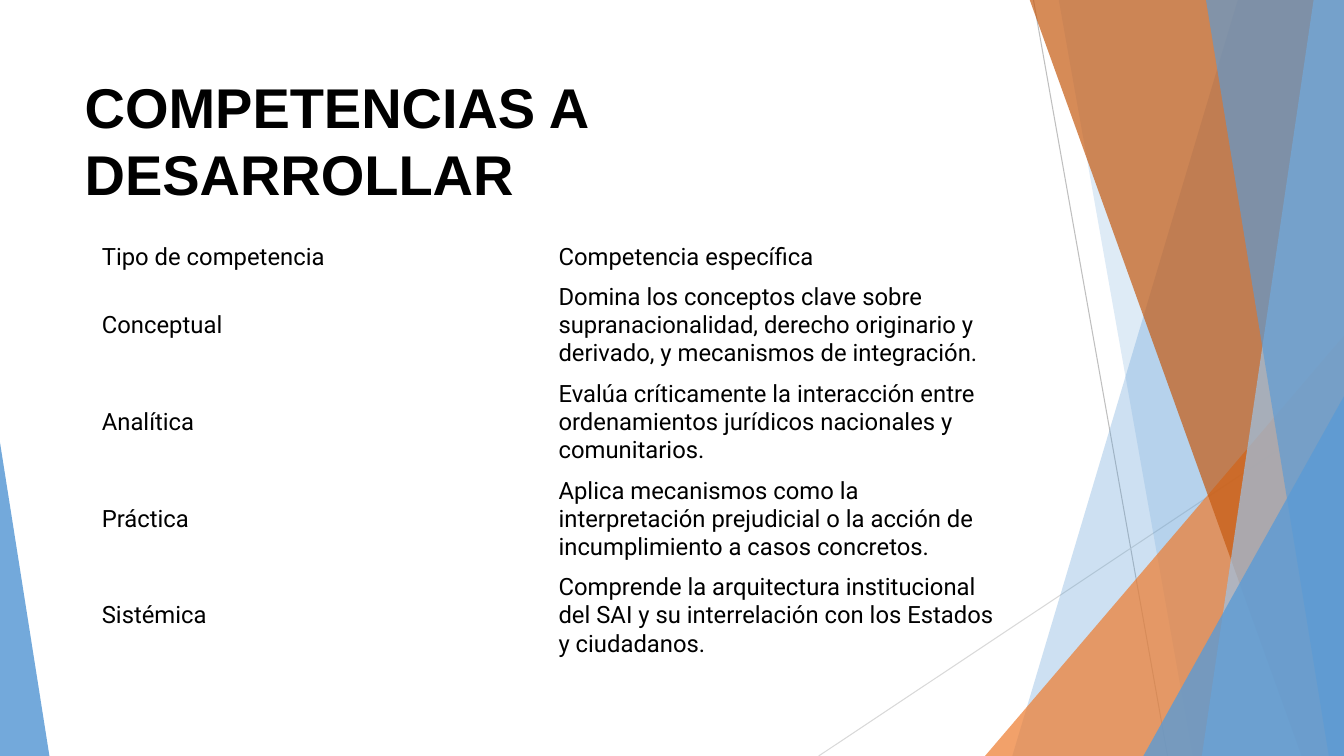
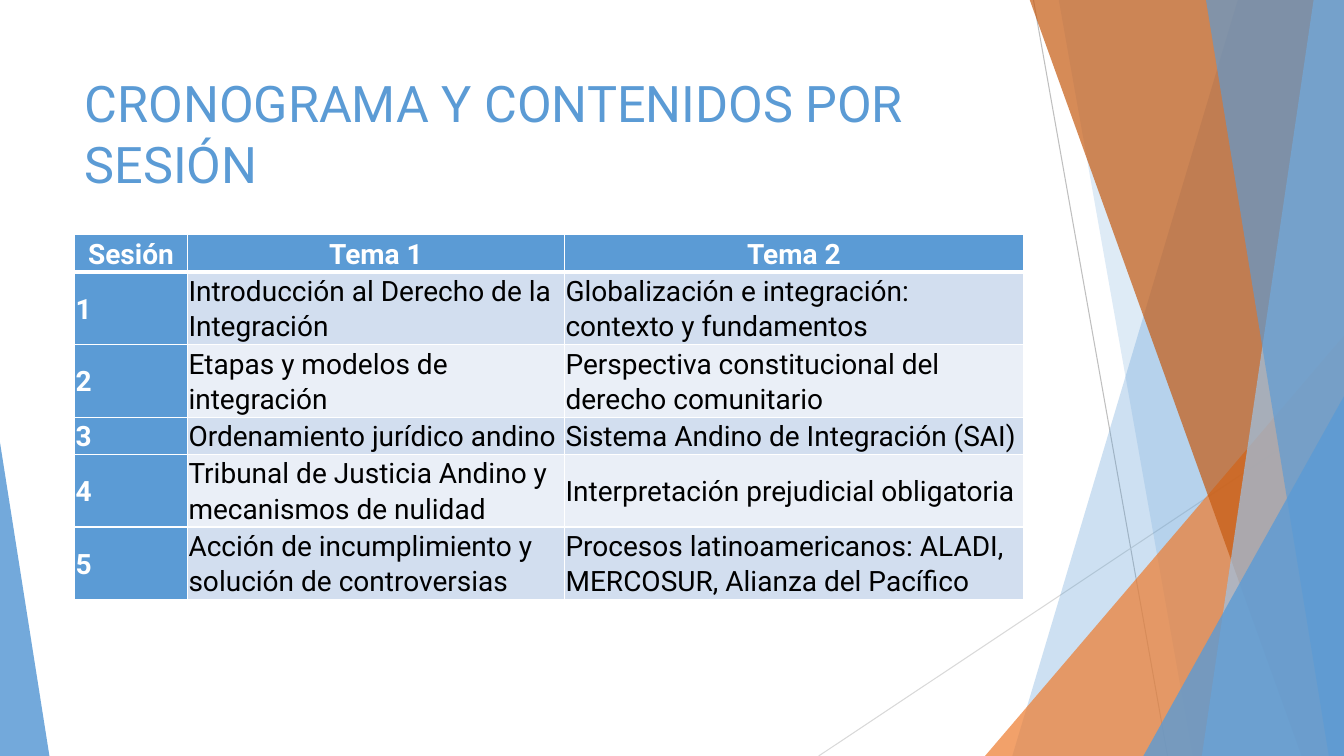
from dataclasses import dataclass

from lxml import etree
from pptx import Presentation
from pptx.dml.color import RGBColor
from pptx.enum.shapes import MSO_CONNECTOR, MSO_SHAPE
from pptx.enum.text import MSO_ANCHOR, MSO_AUTO_SIZE, PP_ALIGN
from pptx.oxml.ns import qn
from pptx.util import Inches, Pt

LEFT, CENTER = PP_ALIGN.LEFT, PP_ALIGN.CENTER
TOP, MIDDLE = MSO_ANCHOR.TOP, MSO_ANCHOR.MIDDLE
FIT = MSO_AUTO_SIZE.TEXT_TO_FIT_SHAPE
STRAIGHT, TRIANGLE = MSO_CONNECTOR.STRAIGHT, MSO_SHAPE.ISOSCELES_TRIANGLE
NO_GRID = "{2D5ABB26-0587-4C30-8999-92F81FD0307C}"


@dataclass(frozen=True)
class Theme:
    blue: str = "5B9BD5"
    sky: str = "9DC3E6"
    orange: str = "ED7D31"
    rust: str = "C55A11"
    gray: str = "BFBFBF"
    silver: str = "D9D9D9"
    white: str = "FFFFFF"
    black: str = "000000"
    bands: tuple = ("EAEFF7", "D2DEEF")
    font: str = "Roboto"
    strong: str = "Arial"
    big: int = 40
    title: int = 36
    body: int = 20
    small: int = 17


T = Theme()
WIDE, HIGH = 13.33, 7.5


def put(frame, text, size, color=T.black, font=T.font, bold=False,
        align=LEFT, line=None, after=None):
    """Write one formatted paragraph into a text frame."""
    para = frame.paragraphs[0]
    para.alignment = align
    if line:
        para.line_spacing = line
    if after:
        para.space_after = Pt(after)
    run = para.add_run()
    run.text = text
    run.font.name, run.font.size, run.font.bold = font, Pt(size), bold
    run.font.color.rgb = RGBColor.from_string(color)


def grid(slide, at, cols, rows, pad):
    """Add a plain table and return it; rows are heights, pad is (x, y)."""
    frame = slide.shapes.add_table(len(rows), len(cols), *map(Inches, at),
                                   Inches(sum(cols)), Inches(sum(rows)))
    table = frame.table
    table.first_row = table.horz_banding = False
    table._tbl.tblPr.find(qn("a:tableStyleId")).text = NO_GRID
    for col, width in zip(table.columns, cols):
        col.width = Inches(width)
    for row, height in zip(table.rows, rows):
        row.height = Inches(height)
    for cell in table.iter_cells():
        cell.vertical_anchor = MIDDLE
        cell.margin_left = cell.margin_right = Inches(pad[0])
        cell.margin_top = cell.margin_bottom = Inches(pad[1])
        cell.fill.background()
    return table


deck = Presentation()
deck.slide_width, deck.slide_height = Inches(WIDE), Inches(HIGH)

# Shared title place
layout = deck.slide_layouts[5]
head = layout.placeholders[0]
head.left, head.top, head.width, head.height = map(Inches, (0.74, 0.67, 9.4, 1.44))
head.text_frame.vertical_anchor = TOP
head.text_frame.auto_size = FIT

goals = deck.slides.add_slide(layout)
plan = deck.slides.add_slide(layout)

# Shared ribbons: drawn as one group, then moved into the layout
group = goals.shapes.add_group_shape()
for x1, y1, x2, y2, color in ((10.25, 0, 11.58, HIGH, T.gray),
                              (WIDE, 4.03, 8.12, HIGH, T.silver)):
    line = group.shapes.add_connector(STRAIGHT, *map(Inches, (x1, y1, x2, y2)))
    line.line.color.rgb = RGBColor.from_string(color)
    line.line.width = Pt(0.75)
    etree.SubElement(line.element.spPr, qn("a:effectLst"))

# A band is (top x, bottom x) up to the right edge; a peak is (x, y, width, tip)
ribbons = (
    ((12.28, 10.04), T.blue, 30),
    ((10.5, 11.83), T.blue, 20),
    ((9.77, 3.33, 3.56, 1), T.orange, 72),
    ((10.21, 12.91), T.rust, 70),
    ((13.03, 11.92), T.sky, 70),
    ((11.96, 13.18), T.blue, 65),
    ((11.34, 3.93, 1.99, 1), T.blue, 80),
    ((0, 4.39, 0.49, 0), T.blue, 85),
)
for place, color, alpha in ribbons:
    if len(place) == 2:
        upper, lower = place
        pen = group.shapes.build_freeform(Inches(upper), Inches(-0.01))
        pen.add_line_segments([(Inches(x), Inches(y)) for x, y in (
            (WIDE, -0.01), (WIDE, HIGH), (lower, HIGH))])
        shape = pen.convert_to_shape()
    else:
        x, y, width, tip = place
        shape = group.shapes.add_shape(
            TRIANGLE, *map(Inches, (x, y, width, HIGH - y)))
        shape.adjustments[0] = tip
    shape.shadow.inherit = False
    shape.line.fill.background()
    shape.fill.solid()
    shape.fill.fore_color.rgb = RGBColor.from_string(color)
    tint = shape.element.spPr.find(".//" + qn("a:srgbClr"))
    etree.SubElement(tint, qn("a:alpha"), val=str(alpha * 1000))
layout.shapes.element.insert(2, group.element)

# Slide 1: competences
put(goals.shapes.title.text_frame, "COMPETENCIAS A DESARROLLAR", T.big,
    font=T.strong, bold=True)
skills = (
    ("Tipo de competencia", "Competencia específica"),
    ("Conceptual", "Domina los conceptos clave sobre supranacionalidad, "
     "derecho originario y derivado, y mecanismos de integración."),
    ("Analítica", "Evalúa críticamente la interacción entre ordenamientos "
     "jurídicos nacionales y comunitarios."),
    ("Práctica", "Aplica mecanismos como la interpretación prejudicial o la "
     "acción de incumplimiento a casos concretos."),
    ("Sistémica", "Comprende la arquitectura institucional del SAI y su "
     "interrelación con los Estados y ciudadanos."),
)
table = grid(goals, (0.91, 2.36), [4.53] * 2, [0.39] + [0.96] * 4, (0.1, 0.05))
for r, row in enumerate(skills):
    for c, text in enumerate(row):
        put(table.cell(r, c).text_frame, text, T.small)

# Slide 2: sessions
put(plan.shapes.title.text_frame, "CRONOGRAMA Y CONTENIDOS POR SESIÓN",
    T.title, T.blue)
topics = (
    ("Sesión", "Tema 1", "Tema 2"),
    ("1", "Introducción al Derecho de la Integración",
     "Globalización e integración: contexto y fundamentos"),
    ("2", "Etapas y modelos de integración",
     "Perspectiva constitucional del derecho comunitario"),
    ("3", "Ordenamiento jurídico andino", "Sistema Andino de Integración (SAI)"),
    ("4", "Tribunal de Justicia Andino y mecanismos de nulidad",
     "Interpretación prejudicial obligatoria"),
    ("5", "Acción de incumplimiento y solución de controversias",
     "Procesos latinoamericanos: ALADI, MERCOSUR, Alianza del Pacífico"),
)
one, two = 0.37, 0.72
table = grid(plan, (0.74, 2.33), (1.12, 3.74, 4.55),
             (one, two, two, one, two, two), (0.01, 0.01))
for r, row in enumerate(topics):
    for c, text in enumerate(row):
        cell = table.cell(r, c)
        key = r == 0 or c == 0
        cell.fill.solid()
        cell.fill.fore_color.rgb = RGBColor.from_string(
            T.blue if key else T.bands[r % 2])
        put(cell.text_frame, text, T.body, T.white if key else T.black,
            bold=key, align=CENTER if r == 0 else LEFT, line=1.07, after=8)
        # White borders, thick under the header
        props = cell._tc.get_or_add_tcPr()
        for i, side in enumerate(("lnL", "lnR", "lnT", "lnB")):
            thick = (r, side) in ((0, "lnB"), (1, "lnT"))
            edge = etree.Element(qn("a:" + side), w=str(Pt(3 if thick else 1)))
            fill = etree.SubElement(edge, qn("a:solidFill"))
            etree.SubElement(fill, qn("a:srgbClr"), val=T.white)
            props.insert(i, edge)

deck.save("out.pptx")
